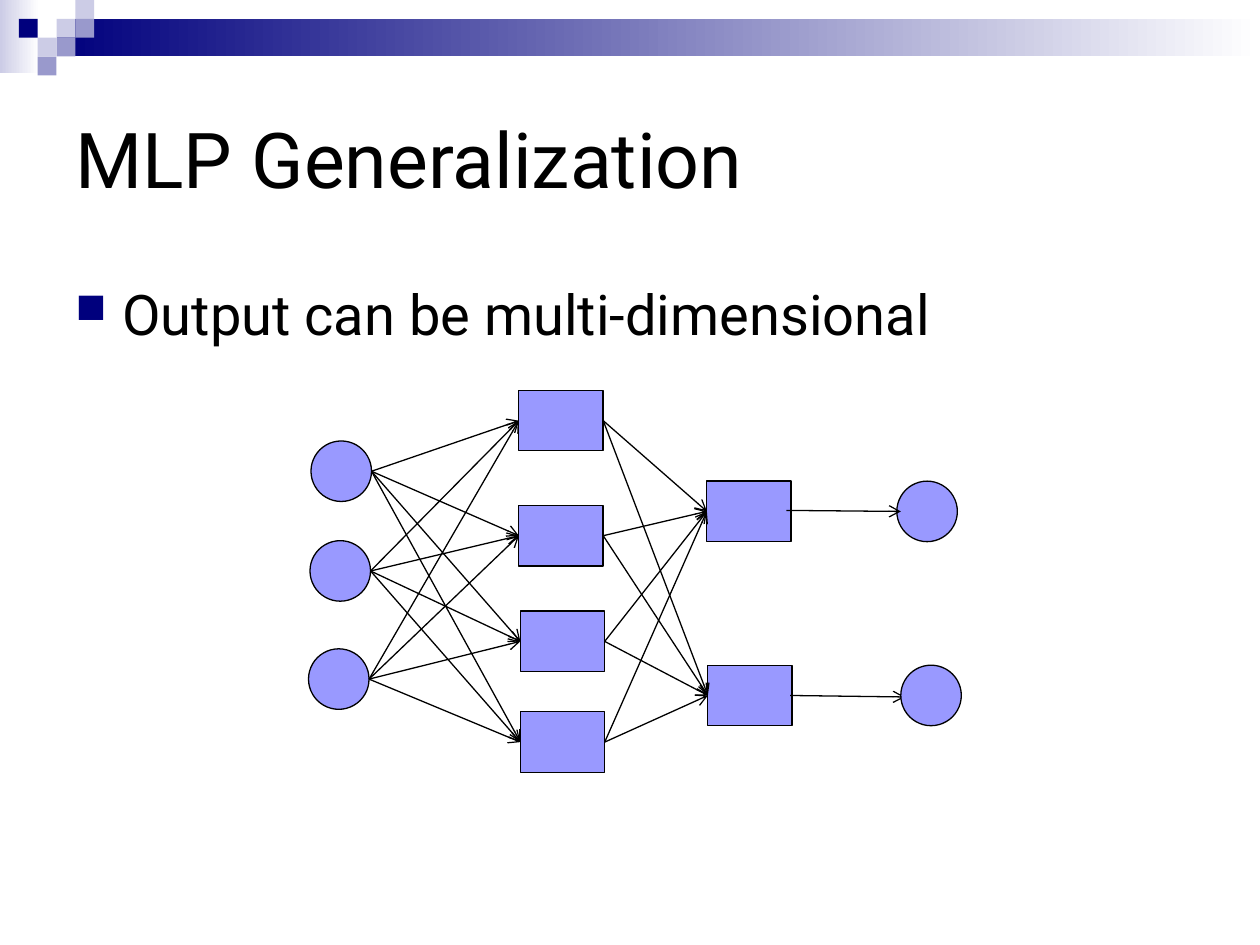
from itertools import product

from lxml.etree import SubElement
from pptx import Presentation
from pptx.dml.color import RGBColor
from pptx.enum.shapes import MSO_CONNECTOR, MSO_SHAPE
from pptx.enum.text import MSO_ANCHOR
from pptx.oxml import parse_xml
from pptx.oxml.ns import qn
from pptx.util import Cm, Pt

NAVY, PALE, MID, NODE = "00007D", "CCCCE6", "9999CC", "9999FF"
NS = 'xmlns:a="http://schemas.openxmlformats.org/drawingml/2006/main"'
rgb = RGBColor.from_string

prs = Presentation()
prs.slide_width, prs.slide_height = Cm(25.4), Cm(19.05)
s = prs.slides.add_slide(prs.slide_layouts[6])


def add_box(kind, x, y, w, h, color, fade=False, outline=False):
    sp = s.shapes.add_shape(kind, Cm(x), Cm(y), Cm(w), Cm(h))
    sp.shadow.inherit = False
    if fade:
        sp.fill.gradient()
        sp.fill.gradient_angle = 0
        for stop, c, pos in zip(sp.fill.gradient_stops, (color, "FFFFFF"), (0, 1)):
            stop.color.rgb, stop.position = rgb(c), pos
    else:
        sp.fill.solid()
        sp.fill.fore_color.rgb = rgb(color)
    if outline:
        sp.line.color.rgb = rgb("000000")
        sp.line.width = Pt(0.75)
    else:
        sp.line.fill.background()
    return sp


def add_arrow(x1, y1, x2, y2):
    c = s.shapes.add_connector(MSO_CONNECTOR.STRAIGHT, Cm(x1), Cm(y1), Cm(x2), Cm(y2))
    c.line.color.rgb = rgb("000000")
    c.line.width = Pt(0.75)
    SubElement(c.line._get_or_add_ln(), qn("a:tailEnd"), type="arrow")
    SubElement(c._element.spPr, qn("a:effectLst"))


# Header bands and checker squares
add_box(MSO_SHAPE.RECTANGLE, 0, 0, 0.79, 1.47, PALE, fade=True)
add_box(MSO_SHAPE.RECTANGLE, 1.14, 0.38, 24.26, 0.76, NAVY, fade=True)
q = 0.38
for col, row, color in [(3, 1, PALE), (4, 0, PALE), (4, 1, MID), (2, 2, PALE),
                        (1, 1, NAVY), (3, 2, MID), (2, 3, MID)]:
    add_box(MSO_SHAPE.RECTANGLE, col * q, row * q, q, q, color)

# Title and bullet text
for text, y, h, size, anchor in [
        ("MLP Generalization", 1.27, 3.81, 44, MSO_ANCHOR.MIDDLE),
        ("Output can be multi-dimensional", 5.51, 3.61, 32, MSO_ANCHOR.TOP)]:
    tf = s.shapes.add_textbox(Cm(1.27), Cm(y), Cm(22.86), Cm(h)).text_frame
    tf.word_wrap = True
    tf.vertical_anchor = anchor
    tf.text = text
    p = tf.paragraphs[0]
    r = p.runs[0]
    r.font.name, r.font.size = "Roboto", Pt(size)
    r.font.color.rgb = rgb("000000")

# Square bullet on the body paragraph
pPr = p._p.get_or_add_pPr()
pPr.set("marL", str(Cm(0.95)))
pPr.set("indent", str(-Cm(0.95)))
for xml in (f'<a:spcBef {NS}><a:spcPct val="20000"/></a:spcBef>',
            f'<a:buClr {NS}><a:srgbClr val="{NAVY}"/></a:buClr>',
            f'<a:buSzPct {NS} val="75000"/>',
            f'<a:buChar {NS} char="■"/>'):
    pPr.append(parse_xml(xml))

# Network layers: top-left corner of each node
d, w = 1.22, 1.7
inputs = [(6.27, 8.89), (6.25, 10.9), (6.22, 13.08)]
hidden = [(10.46, 7.87), (10.46, 10.19), (10.49, 12.32), (10.49, 14.35)]
outputs = [(14.25, 9.7), (14.27, 13.41)]
results = [(18.08, 9.7), (18.16, 13.41)]

for x, y in inputs + results[:1]:
    add_box(MSO_SHAPE.OVAL, x, y, d, d, NODE, outline=True)
for x, y in hidden + outputs:
    add_box(MSO_SHAPE.RECTANGLE, x, y, w, d, NODE, outline=True)

# Full connections between neighbouring layers
for left, right, width in [(inputs, hidden, d), (hidden, outputs, w)]:
    for (x1, y1), (x2, y2) in product(left, right):
        add_arrow(x1 + width, y1 + d / 2, x2, y2 + d / 2)

# Output arrows; the lower result circle covers its arrow tip
add_arrow(15.85, 10.29, 18.16, 10.31)
add_arrow(15.93, 14.02, 18.24, 14.05)
add_box(MSO_SHAPE.OVAL, *results[1], d, d, NODE, outline=True)

prs.save("out.pptx")
